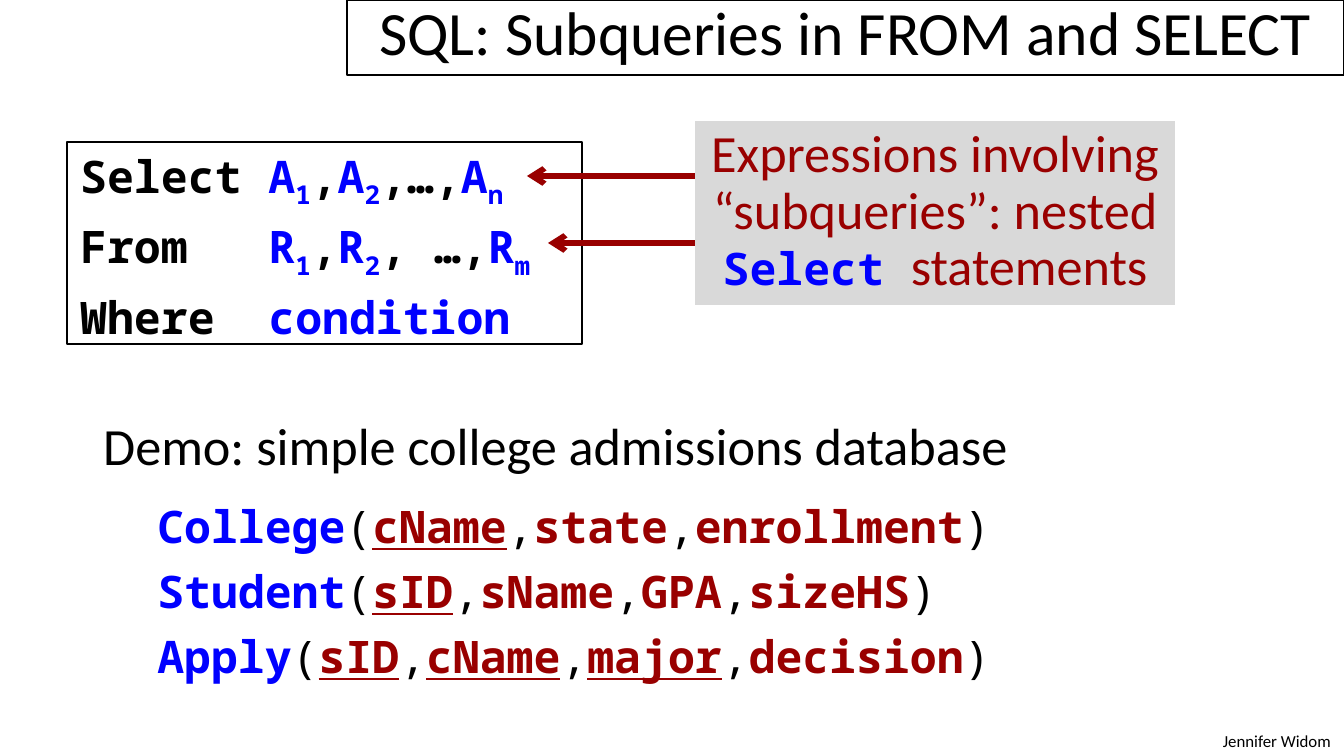
from dataclasses import dataclass, field
from typing import NamedTuple

import lxml.etree
import pptx
import pptx.dml.color
import pptx.enum.shapes
import pptx.enum.text
import pptx.oxml.ns
import pptx.util

RGBColor = pptx.dml.color.RGBColor
Pt = pptx.util.Pt
ALIGN = pptx.enum.text.PP_ALIGN
ANCHOR = pptx.enum.text.MSO_ANCHOR

BLACK = RGBColor(0x00, 0x00, 0x00)
BLUE = RGBColor(0x00, 0x00, 0xFF)
RED = RGBColor(0x99, 0x00, 0x00)
GRAY = RGBColor(0xD9, 0xD9, 0xD9)

WIDTH, HEIGHT = 1344, 756
EMU_PER_PX = 9144000 / WIDTH

CODE = {"name": "Noto Sans Mono", "size": Pt(24), "bold": True}
PLAIN_CODE = {**CODE, "bold": False}
KEY = {**CODE, "underline": True}
BODY = {"name": "Calibri", "size": Pt(28)}
HEADING = {"name": "Calibri", "size": Pt(33)}
CREDIT = {"name": "Calibri", "size": Pt(9)}


class Box(NamedTuple):
    left: int
    top: int
    width: int
    height: int


class Run(NamedTuple):
    text: str
    font: dict
    color: RGBColor = BLACK
    subscript: bool = False


class Relation(NamedTuple):
    name: str
    columns: list[str]
    keys: set[str]


class Arrow(NamedTuple):
    tip: int
    tail: int
    y: int


@dataclass
class Para:
    runs: list[Run]
    format: dict = field(default_factory=dict)
    indent: int = 0


def px(n: int) -> int:
    return round(n * EMU_PER_PX)


def place(sp, box: Box) -> None:
    sp.left, sp.top, sp.width, sp.height = map(px, box)


def write(sp, paras: list[Para], anchor=ANCHOR.TOP, wrap: bool = True) -> None:
    tf = sp.text_frame
    tf.auto_size = pptx.enum.text.MSO_AUTO_SIZE.NONE
    tf.word_wrap = wrap
    tf.vertical_anchor = anchor
    for i, para in enumerate(paras):
        p = tf.add_paragraph() if i else tf.paragraphs[0]
        if para.indent:
            p._p.get_or_add_pPr().set("marL", str(px(para.indent)))
        for name, value in para.format.items():
            setattr(p, name, value)
        for run in para.runs:
            r = p.add_run()
            r.text = run.text
            for name, value in run.font.items():
                setattr(r.font, name, value)
            r.font.color.rgb = run.color
            if run.subscript:
                r._r.get_or_add_rPr().set("baseline", "-25000")


def outline(sp) -> None:
    sp.line.color.rgb = BLACK
    sp.line.width = Pt(0.75)


def add_text(s, box: Box, paras: list[Para]):
    sp = s.shapes.add_textbox(*map(px, box))
    write(sp, paras)
    return sp


def add_arrow(s, arrow: Arrow) -> None:
    y = px(arrow.y)
    sp = s.shapes.add_connector(pptx.enum.shapes.MSO_CONNECTOR.STRAIGHT,
                                px(arrow.tip), y, px(arrow.tail), y)
    sp.line.color.rgb = RED
    sp.line.width = Pt(3)
    qn = pptx.oxml.ns.qn
    lxml.etree.SubElement(sp.line._get_or_add_ln(), qn("a:headEnd"), type="arrow")
    lxml.etree.SubElement(sp._element.spPr, qn("a:effectLst"))


def clause(keyword: str, letter: str, last: str, gap: str) -> list[Run]:
    """Keyword followed by a list such as A1,A2,…,An."""
    runs = [Run(keyword, CODE)]
    for index, separator in (("1", ","), ("2", gap), (last, "")):
        runs += [Run(letter, CODE, BLUE), Run(index, CODE, BLUE, True)]
        if separator:
            runs.append(Run(separator, CODE))
    return runs


def schema(relation: Relation) -> list[Run]:
    runs = [Run(relation.name, CODE, BLUE)]
    for i, column in enumerate(relation.columns):
        runs.append(Run("," if i else "(", PLAIN_CODE))
        runs.append(Run(column, KEY if column in relation.keys else CODE, RED))
    return runs + [Run(")", PLAIN_CODE)]


RELATIONS = [
    Relation("College", ["cName", "state", "enrollment"], {"cName"}),
    Relation("Student", ["sID", "sName", "GPA", "sizeHS"], {"sID"}),
    Relation("Apply", ["sID", "cName", "major", "decision"], {"sID", "cName", "major"}),
]
ARROWS = [Arrow(548, 695, 243), Arrow(527, 695, 176)]


def main() -> None:
    prs = pptx.Presentation()
    prs.slide_width, prs.slide_height = px(WIDTH), px(HEIGHT)
    s = prs.slides.add_slide(prs.slide_layouts[5])

    # Title
    title = s.shapes.title
    place(title, Box(347, 0, 997, 75))
    outline(title)
    write(title, [Para([Run("SQL: Subqueries in FROM and SELECT", HEADING)],
                       {"alignment": ALIGN.CENTER})], ANCHOR.BOTTOM)

    # Author credit
    add_text(s, Box(1199, 724, 145, 34),
             [Para([Run("Jennifer Widom", CREDIT)], {"alignment": ALIGN.RIGHT})])

    # Query pattern
    spaced = {"space_before": Pt(5)}
    query = add_text(s, Box(67, 142, 515, 202), [
        Para(clause("Select ", "A", "n", ",…,")),
        Para(clause("From   ", "R", "m", ", …,"), spaced),
        Para([Run("Where  ", CODE), Run("condition", CODE, BLUE)], spaced),
    ])
    outline(query)

    # Demo database
    demo = Para([Run("Demo: simple college admissions database", BODY)],
                {"space_after": Pt(12)})
    add_text(s, Box(90, 407, 1098, 285),
             [demo] + [Para(schema(relation), {"space_after": Pt(6)}, indent=54)
                       for relation in RELATIONS])

    # Callout
    callout = s.shapes.add_shape(pptx.enum.shapes.MSO_SHAPE.RECTANGLE,
                                 *map(px, Box(695, 121, 480, 184)))
    callout.shadow.inherit = False
    callout.fill.solid()
    callout.fill.fore_color.rgb = GRAY
    callout.line.fill.background()
    centered = {"alignment": ALIGN.CENTER, "line_spacing": 0.9}
    write(callout, [Para(runs, centered) for runs in (
        [Run("Expressions involving", BODY, RED)],
        [Run("“subqueries”: nested", BODY, RED)],
        [Run("Select ", CODE, BLUE), Run("statements", BODY, RED)],
    )], wrap=False)

    # Arrows from the callout to the clauses
    for arrow in ARROWS:
        add_arrow(s, arrow)

    prs.save("out.pptx")


if __name__ == "__main__":
    main()
